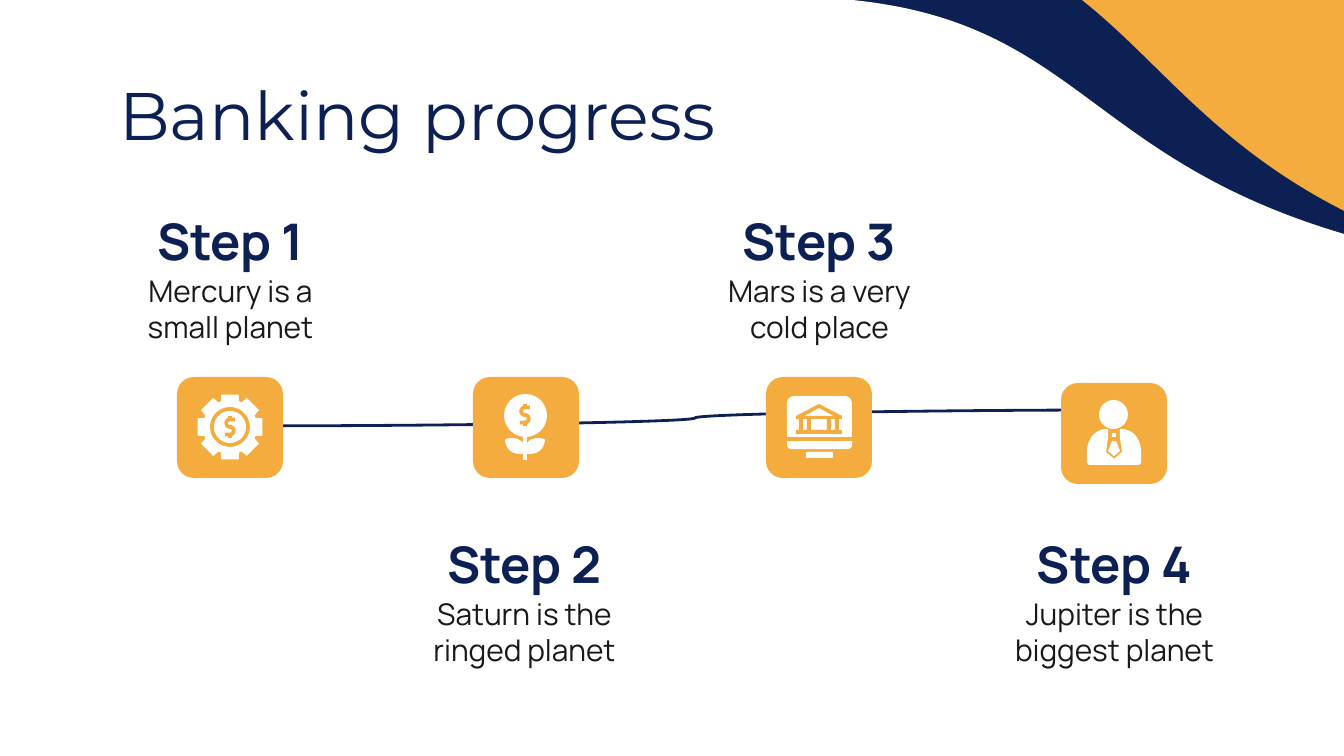
from math import cos, radians, sin

from lxml.etree import SubElement
from pptx import Presentation
from pptx.dml.color import RGBColor
from pptx.enum.shapes import MSO_CONNECTOR, MSO_SHAPE as Preset
from pptx.enum.text import MSO_ANCHOR as Anchor, PP_ALIGN as Align
from pptx.oxml.ns import qn
from pptx.util import Pt

PX = 914400 / 134.4
FINE = 10  # outline units per px

NAVY = RGBColor(0x0C, 0x20, 0x54)
AMBER = RGBColor(0xF3, 0xAC, 0x3D)
WHITE = RGBColor(0xFF, 0xFF, 0xFF)
INK = RGBColor(0x19, 0x19, 0x19)

TILE = (106, 101)
CAPTION_WIDTH, CAPTION_HEIGHT = 249, 75
WAVES = [
    ((636, -36, 755, 806), 198.2, NAVY),
    ((661, 34, 681, 601), 194.3, WHITE),
    ((-133, -93, 1535, 1051), 194.3, WHITE),
]


def emu(*lengths):
    return [round(length * PX) for length in lengths]


def paint(shape, color):
    shape.shadow.inherit = False
    shape.fill.solid()
    shape.fill.fore_color.rgb = color
    shape.line.fill.background()
    return shape


def add_preset(page, preset, box, color):
    return paint(page.shapes.add_shape(preset, *emu(*box)), color)


def add_outline(page, center, contours, color, closed=True):
    """Draw contours, in px around center, as one shape; inner contours are holes."""
    builder = None
    for contour in contours:
        points = [(x * FINE, y * FINE) for x, y in contour]
        if builder is None:
            builder = page.shapes.build_freeform(*points[0], scale=PX / FINE)
        else:
            builder.move_to(*points[0])
        builder.add_line_segments(points[1:], close=closed)
    return paint(builder.convert_to_shape(*emu(*center)), color)


def arc(x, y, radius, start=0, end=360):
    angles = [radians(start + (end - start) * i / 36) for i in range(37)]
    return [(x + radius * cos(a), y + radius * sin(a)) for a in angles]


def curve(*controls):
    """Sample a cubic curve."""
    points = []
    for i in range(13):
        t = i / 12
        weights = ((1 - t) ** 3, 3 * t * (1 - t) ** 2, 3 * t * t * (1 - t), t ** 3)
        points.append(tuple(sum(w * c[axis] for w, c in zip(weights, controls))
                            for axis in (0, 1)))
    return points


def flipped(points):
    return [(-x, y) for x, y in points]


def mirrored(points):
    """Close a left half with its reflection."""
    return points + flipped(points)[::-1]


def rectangle(left, top, right, bottom):
    return [(left, top), (right, top), (right, bottom), (left, bottom)]


def add_dollar(page, center):
    strokes = [
        [(5, -7.5), *arc(0, -3.75, 3.75, 270, 90), *arc(0, 3.75, 3.75, -90, 90), (-5, 7.5)],
        [(0, -11), (0, -8)],
        [(0, 8), (0, 11)],
    ]
    sign = add_outline(page, center, strokes, AMBER, closed=False)
    sign.fill.background()
    sign.line.color.rgb = AMBER
    sign.line.width = Pt(2)


def add_gear(page, center):
    tooth = [(-20, 27), (-15, 33.5), (15, 33.5), (20, 27)]
    rim = [(r * cos(radians(turn + a)), r * sin(radians(turn + a)))
           for turn in range(0, 360, 45) for a, r in tooth]
    add_outline(page, center, [rim, arc(0, 0, 20)], WHITE)
    add_outline(page, center, [arc(0, 0, 16)], WHITE)
    add_dollar(page, center)


def add_flower(page, center):
    x, y = center
    leaf = [*curve((-2, 16), (-6, 11), (-13, 10), (-19, 12)),
            *curve((-20, 13), (-20, 17), (-17, 23), (-13, 25)),
            *curve((-13, 25), (-10, 27), (-6, 27), (-2, 27))]
    add_preset(page, Preset.OVAL, (x - 22, y - 33, 43, 43), WHITE)
    add_preset(page, Preset.ROUNDED_RECTANGLE, (x - 3, y + 8, 4, 25), WHITE)
    add_outline(page, (x - 1, y), [leaf, flipped(leaf)], WHITE)
    add_dollar(page, (x - 1, y - 12))


def add_monitor(page, center):
    x, y = center
    add_preset(page, Preset.ROUND_2_SAME_RECTANGLE, (x - 32, y - 31, 65, 41), WHITE)
    base = add_preset(page, Preset.ROUND_2_SAME_RECTANGLE, (x - 32, y + 14, 65, 8), WHITE)
    base.rotation = 180
    base.adjustments[0] = 0.5
    add_preset(page, Preset.ROUNDED_RECTANGLE, (x - 13, y + 25, 27, 6), WHITE)
    bank = mirrored([(0, -23), (-23, -11), (-23, -8), (-20, -8), (-20, 3), (-23, 3), (-23, 7)])
    windows = [rectangle(left, -8, right, 3) for left, right in ((-16, -12), (-8, 8), (12, 16))]
    gable = [(0, -19), (-15, -11), (15, -11)]
    add_outline(page, center, [bank, gable, *windows], AMBER)


def add_banker(page, center):
    x, y = center
    body = [(0, 26), (-8, 19), (-6, 5), (-6, -4),
            *curve((-7, -4), (-19, -4), (-27, 6), (-27, 19)), (-27, 30), (-25, 32)]
    tie = [(-2, 8), (-6, 18), (0, 23)]
    add_preset(page, Preset.OVAL, (x - 15, y - 33, 29, 29), WHITE)
    add_outline(page, center, [mirrored(body)], WHITE)
    add_outline(page, center, [mirrored(tie), rectangle(-2, 0, 2, 4)], WHITE)


def add_text(page, box, text, size, font, color, align=Align.CENTER, bold=False, spacing=None):
    frame = page.shapes.add_textbox(*emu(*box)).text_frame
    frame.word_wrap = True
    frame.vertical_anchor = Anchor.MIDDLE
    frame.margin_top = frame.margin_bottom = frame.margin_left
    para = frame.paragraphs[0]
    para.text = text
    para.alignment = align
    para.line_spacing = spacing
    para.font.size, para.font.name, para.font.bold = Pt(size), font, bold
    para.font.color.rgb = color


def add_caption(page, left, top, name, detail):
    add_text(page, (left, top, CAPTION_WIDTH, CAPTION_HEIGHT), name, 27, "Manrope", NAVY, bold=True)
    add_text(page, (left, top + 68, CAPTION_WIDTH, CAPTION_HEIGHT), detail, 16, "Manrope", INK)


def add_step(page, tile, caption, name, detail, add_icon):
    left, top = tile
    width, height = TILE
    add_preset(page, Preset.ROUNDED_RECTANGLE, (left, top, width, height), AMBER)
    add_icon(page, (left + width // 2, top + height // 2))
    add_caption(page, *caption, name, detail)


def add_background(page):
    page.background.fill.solid()
    page.background.fill.fore_color.rgb = AMBER
    for box, angle, color in WAVES:
        wave = add_preset(page, Preset.FLOWCHART_DOCUMENT, box, color)
        wave.rotation = angle
        wave._element.spPr.find(qn("a:xfrm")).set("flipH", "1")


def add_path_line(page, start, end):
    line = page.shapes.add_connector(MSO_CONNECTOR.CURVE, *emu(*start, *end))
    line.line.color.rgb = NAVY
    line.line.width = Pt(1.5)
    SubElement(line._element.spPr, qn("a:effectLst"))


def main():
    deck = Presentation()
    deck.slide_width, deck.slide_height = emu(1344, 756)
    page = deck.slides.add_slide(deck.slide_layouts[6])
    add_background(page)
    add_path_line(page, (245, 426), (1145, 410))
    add_text(page, (106, 78, 1133, 71), "Banking progress", 36, "Montserrat", NAVY, Align.LEFT)
    upper, lower = 203, 526
    add_step(page, (177, 377), (106, upper), "Step 1", "Mercury is a small planet", add_gear)
    add_step(page, (473, 377), (400, lower), "Step 2", "Saturn is the ringed planet", add_flower)
    add_step(page, (766, 377), (695, upper), "Step 3", "Mars is a very cold place", add_monitor)
    add_step(page, (1061, 383), (990, lower), "Step 4", "Jupiter is the biggest planet", add_banker)
    deck.save("out.pptx")


if __name__ == "__main__":
    main()
